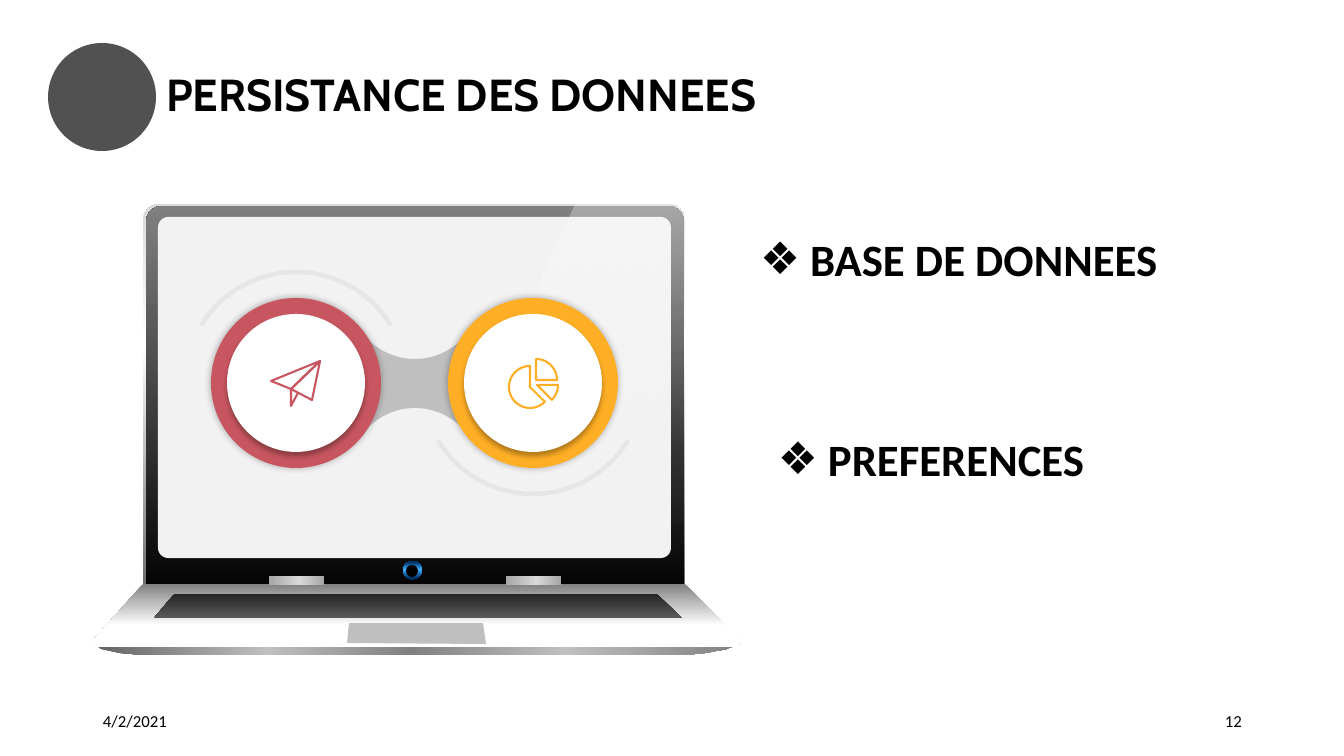
from math import cos, radians, sin

from lxml.etree import SubElement
from pptx import Presentation
from pptx.dml.color import RGBColor
from pptx.enum.shapes import MSO_SHAPE as Preset
from pptx.enum.text import MSO_ANCHOR as Anchor, MSO_AUTO_SIZE as AutoSize, PP_ALIGN as Align
from pptx.oxml import parse_xml
from pptx.oxml.ns import nsdecls, qn
from pptx.util import Emu, Pt

PX = 914400 / 100.8

THEME = {
    "text": "000000", "badge": "262626", "white": "FFFFFF", "black": "000000",
    "screen": "F2F2F2", "silver": "BFBFBF", "red": "C85660", "orange": "FFAF25",
    "grey": "808080", "title_font": "Cabin", "body_font": "Calibri",
    "heading_size": 32, "footer_size": 12, "orbit_line": 3.25, "icon_line": 1.5,
}
RIM = (270, (0, "595959"), (66, "FFFFFF"), (100, "D9D9D9"))
LID = (270, (0, "000000"), (100, "808080"))
DECK = (90, (0, "808080"), (34, "BFBFBF"), (70, "FFFFFF"), (100, "FFFFFF"))
BASE = (0, (0, "626262"), (27, "BFBFBF"), (49, "808080"), (73, "BFBFBF"), (100, "808080"))
LENS = (270, (11, "003366"), (55, "3FADFF"), (92, "003366"))
HINGE = (0, (0, "A6A6A6"), (55, "D9D9D9"), (100, "A6A6A6"))
KEYS = (90, (0, "262626"), (100, "595959"))
GLARE = (270, (21, "FFFFFF", 1), (100, "FFFFFF", 30))


def arc(x, y, radius, start, end):
    angles = [radians(start + (end - start) * step / 40) for step in range(41)]
    return [(x + radius * cos(angle), y + radius * sin(angle)) for angle in angles]


def paint(parent, fill, alpha=100):
    angle, *stops = (0, (0, fill, alpha)) if isinstance(fill, str) else fill
    kind = "gradFill" if len(stops) > 1 else "solidFill"
    element = parse_xml(f"<a:{kind} {nsdecls('a')}/>")
    holder = SubElement(element, qn("a:gsLst")) if len(stops) > 1 else element
    for position, colour, *opacity in stops:
        slot = holder
        if len(stops) > 1:
            slot = SubElement(holder, qn("a:gs"), pos=str(position * 1000))
        tint = SubElement(slot, qn("a:srgbClr"), val=colour)
        if opacity and opacity[0] < 100:
            SubElement(tint, qn("a:alpha"), val=str(opacity[0] * 1000))
    if len(stops) > 1:
        SubElement(element, qn("a:lin"), ang=str(angle * 60000), scaled="0")
    parent.replace(parent.find(qn("a:noFill")), element)


deck = Presentation()
deck.slide_width, deck.slide_height = Emu(round(1344 * PX)), Emu(round(756 * PX))
page = deck.slides.add_slide(deck.slide_layouts[3])

solids = [
    (Preset.OVAL, (48, 43, 108, 108), THEME["badge"], {"alpha": 80}),
    (Preset.ROUNDED_RECTANGLE, (143, 204, 542, 415), RIM, {"corner": 0.04}),
    (Preset.ROUNDED_RECTANGLE, (146, 206, 538, 393), LID, {"corner": 0.04}),
    (Preset.ROUNDED_RECTANGLE, (158, 217, 513, 341), THEME["screen"], {"corner": 0.03}),
    (None, [(95, 643), (732, 643), (739, 638), (685, 584), (143, 584), (94, 639)], DECK, {}),
    (None, [(93, 643), (740, 643), (727, 649), (705, 653), (685, 655),
            (143, 655), (120, 653), (101, 649)], BASE, {}),
    (Preset.OVAL, (403, 561, 19, 19), LENS, {}),
    (Preset.OVAL, (406, 565, 12, 12), THEME["black"], {}),
    (Preset.RECTANGLE, (269, 576, 55, 9), HINGE, {}),
    (Preset.RECTANGLE, (506, 576, 55, 9), HINGE, {}),
    (None, [(174, 594), (657, 594), (682, 618), (154, 618)], KEYS, {}),
    (Preset.ROUNDED_RECTANGLE, (93, 637, 647, 10), THEME["white"], {"corner": 0.5}),
    (None, [(349, 623), (483, 623), (486, 644), (347, 643)], THEME["silver"], {}),
    (None, [(575, 204), *arc(669, 219, 15, -90, 0), (684, 521), (426, 519)], GLARE, {}),
    (None, arc(415, 293, 66, 40, 140) + arc(415, 474, 66, 220, 320), THEME["silver"], {}),
]
for x, colour, start in ((296, THEME["red"], 211), (533, THEME["orange"], 31)):
    solids.append((None, arc(x, 383, 111, start, start + 118), None,
                   {"line": THEME["grey"], "width": THEME["orbit_line"], "alpha": 10, "open": True}))
    for radius, tint, shadow in ((85, colour, (5, 0)), (69, THEME["white"], (4, 3))):
        ring = (x - radius, 383 - radius, 2 * radius, 2 * radius)
        solids.append((Preset.OVAL, ring, tint, {"shadow": shadow}))

plane = [
    ([(271, 381), (320, 361), (291, 389)], False),
    ([(291, 389), (320, 361), (312, 400)], False),
    ([(291, 389), (291, 406), (298, 393)], True),
]
pie = [
    ([(536, 380), *arc(536, 380, 21, -90, 0)], False),
    ([(537, 385), *arc(537, 385, 21, 0, 45)], False),
    ([(530, 387), *arc(530, 387, 21, 45, 270)], False),
]
for strokes, colour in ((plane, THEME["red"]), (pie, THEME["orange"])):
    for points, is_open in strokes:
        solids.append((None, points, None,
                       {"line": colour, "width": THEME["icon_line"], "open": is_open}))

for preset, geometry, fill, style in solids:
    if preset is None:
        points = [(round(x * PX), round(y * PX)) for x, y in geometry]
        builder = page.shapes.build_freeform(*points[0], scale=1.0)
        builder.add_line_segments(points[1:], close=not style.get("open", False))
        shape = builder.convert_to_shape()
    else:
        shape = page.shapes.add_shape(preset, *[Emu(round(side * PX)) for side in geometry])
    if "corner" in style:
        shape.adjustments[0] = style["corner"]
    shape.shadow.inherit = False
    shape.fill.background()
    shape.line.fill.background()
    properties = shape.fill._xPr
    if fill:
        paint(properties, fill, style.get("alpha", 100))
    if "line" in style:
        shape.line.width = Pt(style["width"])
        paint(properties.find(qn("a:ln")), style["line"], style.get("alpha", 100))
    if "shadow" in style:
        blur, distance = style["shadow"]
        shade = SubElement(properties.find(qn("a:effectLst")), qn("a:outerShdw"),
                           blurRad=str(Pt(blur)), dist=str(Pt(distance)), dir="5400000",
                           algn="ctr", rotWithShape="0")
        tint = SubElement(shade, qn("a:srgbClr"), val=THEME["black"])
        SubElement(tint, qn("a:alpha"), val="30000")

heading, first_item, second_item = page.placeholders
date_box, number_box = [page.shapes.add_textbox(0, 0, 0, 0) for _ in range(2)]
title_format = {"font": THEME["title_font"], "size": THEME["heading_size"], "bold": True,
                "spacing": 0.9, "anchor": Anchor.TOP}
item_format = {"font": THEME["body_font"], "size": THEME["heading_size"], "bold": True,
               "inset": 0, "bullet": "❖", "anchor": Anchor.TOP}
footer_format = {"font": THEME["body_font"], "size": THEME["footer_size"], "anchor": Anchor.MIDDLE}
texts = [
    (heading, (156, 68, 896, 122), "PERSISTANCE DES DONNEES", title_format),
    (first_item, (760, 232, 440, 54), "BASE DE DONNEES", item_format),
    (second_item, (778, 432, 440, 54), "PREFERENCES", item_format),
    (date_box, (93, 701, 302, 40), "4/2/2021", footer_format),
    (number_box, (950, 701, 302, 40), "12", {**footer_format, "align": Align.RIGHT}),
]
for box, place, wording, style in texts:
    for side, length in zip(("left", "top", "width", "height"), place):
        setattr(box, side, Emu(round(length * PX)))
    frame = box.text_frame
    frame.word_wrap = True
    frame.auto_size = AutoSize.NONE
    frame.vertical_anchor = style["anchor"]
    if "inset" in style:
        for side in ("left", "top", "right", "bottom"):
            setattr(frame, f"margin_{side}", style["inset"])
    para = frame.paragraphs[0]
    para.alignment = style.get("align", Align.LEFT)
    para.line_spacing = style.get("spacing", 1.0)
    para.space_before = Pt(0)
    if "bullet" in style:
        layout = para._p.get_or_add_pPr()
        layout.set("marL", str(round(50 * PX)))
        layout.set("indent", str(-round(50 * PX)))
        SubElement(layout, qn("a:buChar"), char=style["bullet"])
    span = para.add_run()
    span.text = wording
    font_values = {"name": style["font"], "size": Pt(style["size"]), "bold": style.get("bold", False)}
    for attribute, value in font_values.items():
        setattr(span.font, attribute, value)
    span.font.color.rgb = RGBColor.from_string(THEME["text"])

deck.save("out.pptx")
